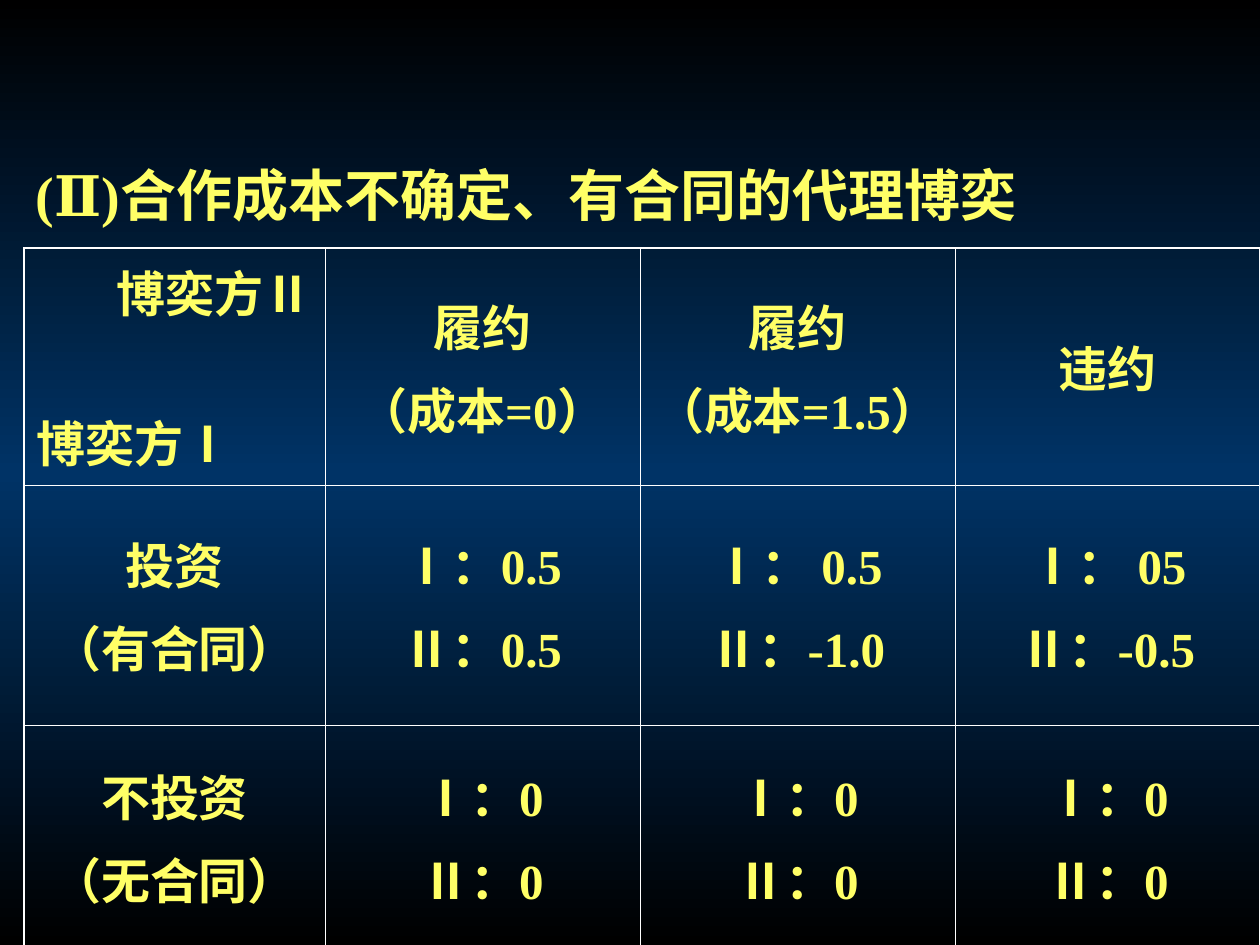
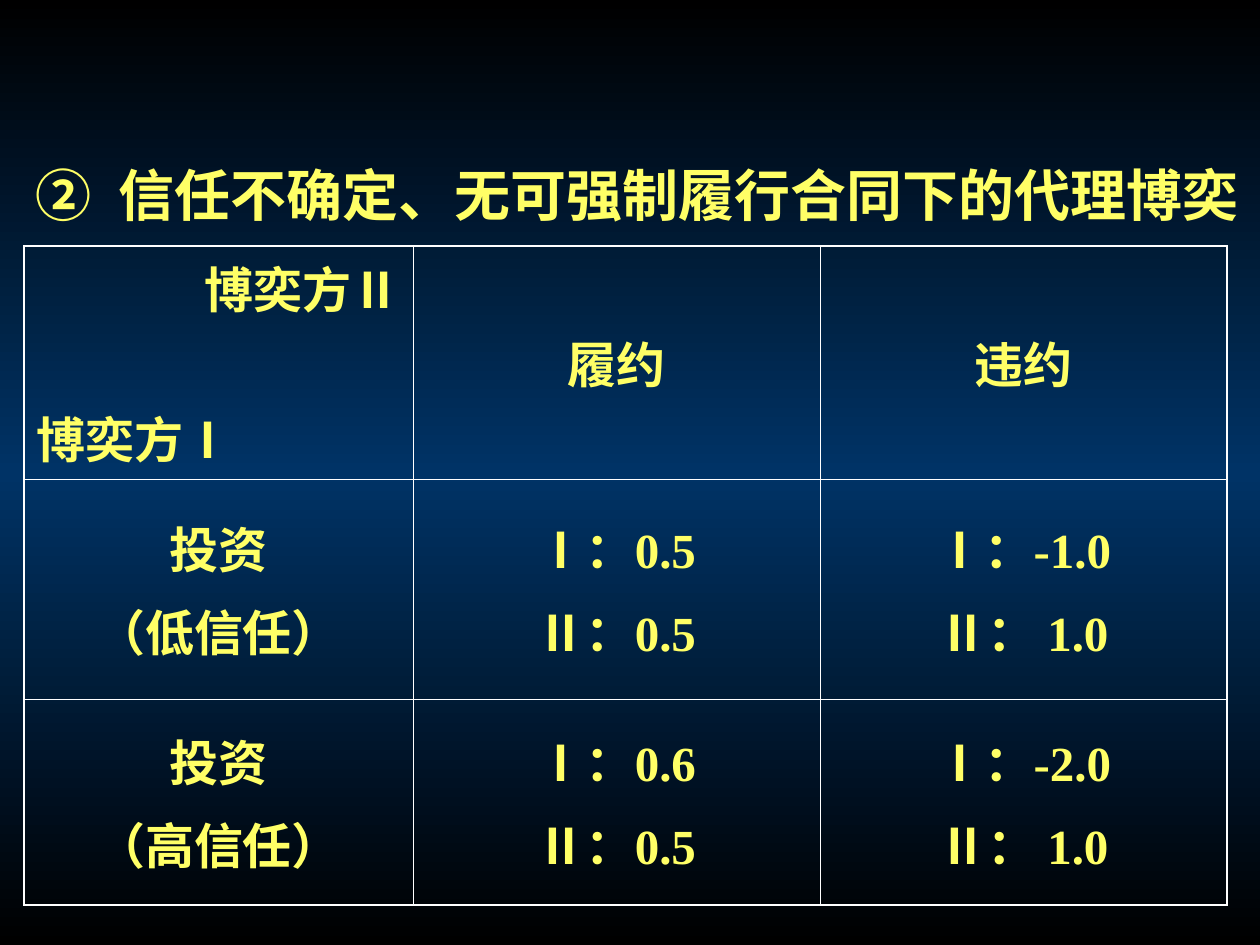
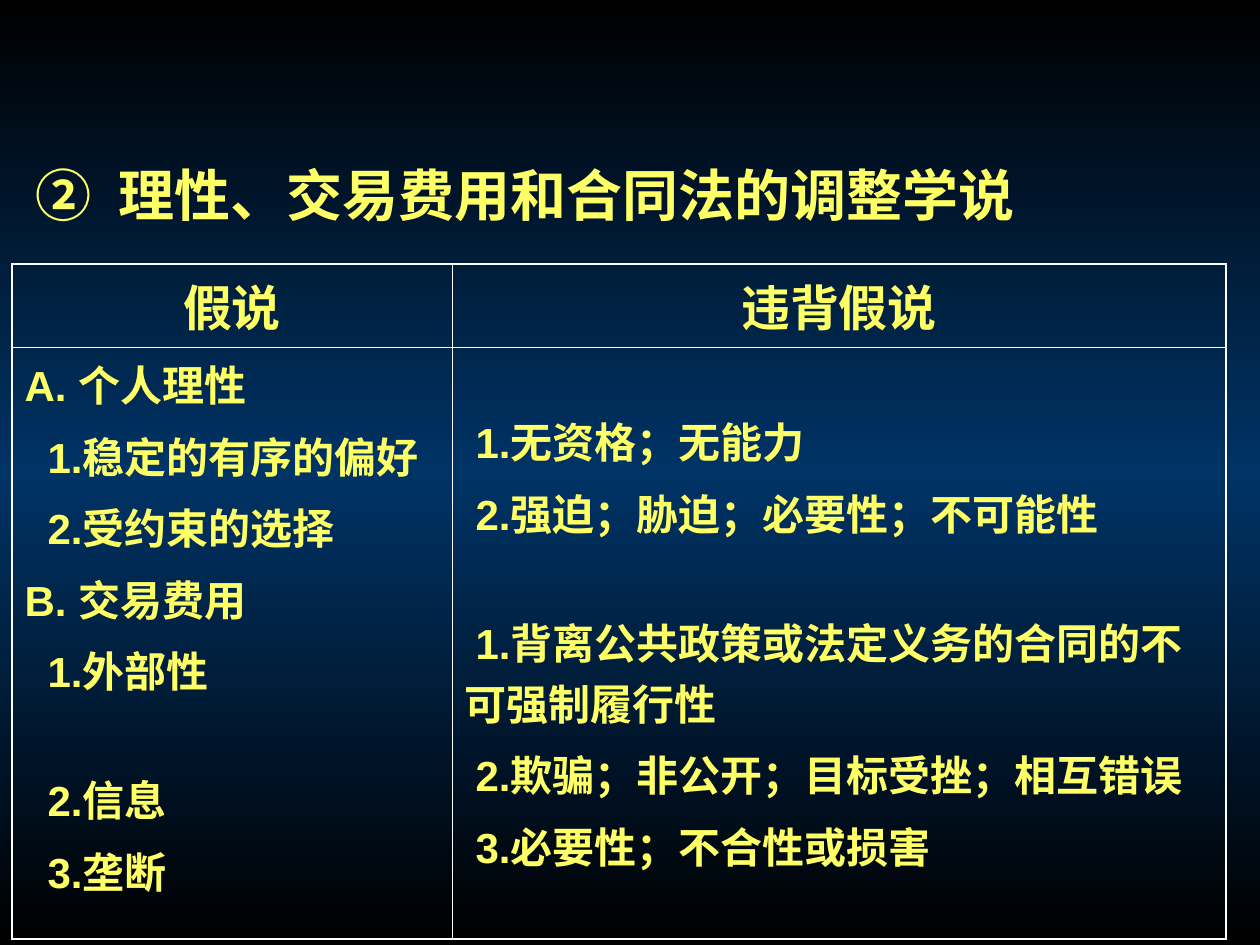
from dataclasses import dataclass

from lxml import etree
from pptx import Presentation
from pptx.dml.color import RGBColor
from pptx.enum.lang import MSO_LANGUAGE_ID
from pptx.enum.text import MSO_ANCHOR, MSO_AUTO_SIZE, PP_ALIGN
from pptx.oxml.ns import qn
from pptx.util import Pt

LEFT, CENTER, RIGHT = PP_ALIGN.LEFT, PP_ALIGN.CENTER, PP_ALIGN.RIGHT
TOP, MIDDLE = MSO_ANCHOR.TOP, MSO_ANCHOR.MIDDLE
NO_FIT = MSO_AUTO_SIZE.NONE
CHINESE = MSO_LANGUAGE_ID.SIMPLIFIED_CHINESE

PX_PER_INCH = 126
TITLE_ONLY_LAYOUT = 5


@dataclass(frozen=True)
class Theme:
    text: str = "FFFF66"
    border: str = "FFFFFF"
    shadow: str = "000000"
    gradient: tuple[tuple[int, str], ...] = ((0, "000000"), (50, "003366"), (100, "000000"))
    heading_size: int = 32
    cell_size: int = 28
    list_size: int = 24
    cell_gap: int = 7
    list_gap: int = 6
    outer_line: float = 1.08
    inner_line: float = 0.45
    serif: str = "Times New Roman"
    sans: str = "Arial"


THEME = Theme()


@dataclass(frozen=True)
class Line:
    text: str
    align: PP_ALIGN = CENTER
    size: int = THEME.cell_size
    gap: int = THEME.cell_gap
    indent: int = 0


@dataclass(frozen=True)
class CellText:
    lines: tuple[Line, ...]
    anchor: MSO_ANCHOR = MIDDLE
    top_inset: int = 6


@dataclass(frozen=True)
class TableSlide:
    heading: str
    font: str
    left: int
    top: int
    columns: tuple[int, ...]
    rows: tuple[int, ...]
    cells: tuple[tuple[CellText, ...], ...]


def px(length: int) -> int:
    return round(length * 914400 / PX_PER_INCH)


def centered(*texts: str) -> CellText:
    return CellText(tuple(Line(text) for text in texts))


def payoffs(first: str, second: str) -> CellText:
    return centered(f"Ⅰ：{first}", f"Ⅱ：{second}")


def item(text: str, indent: int = 0, gap: int = THEME.list_gap) -> Line:
    return Line(text, LEFT, THEME.list_size, gap, indent)


# Slide content
WIDE_GAP = 39  # points before a list item that starts a new group
PLAYERS = CellText((Line("博奕方Ⅱ", RIGHT), Line("博奕方Ⅰ", LEFT, gap=45)))

HYPOTHESES = CellText((
    item("A. 个人理性"),
    item("1.稳定的有序的偏好", 23),
    item("2.受约束的选择", 23),
    item("B. 交易费用"),
    item("1.外部性", 23),
    item("2.信息", 23, WIDE_GAP),
    item("3.垄断", 23),
), TOP)

VIOLATIONS = CellText((
    item("1.无资格；无能力", 11),
    item("2.强迫；胁迫；必要性；不可能性", 11),
    item("1.背离公共政策或法定义务的合同的不可强制履行性", 11, WIDE_GAP),
    item("2.欺骗；非公开；目标受挫；相互错误", 11),
    item("3.必要性；不合性或损害", 11),
), TOP, top_inset=63)

SLIDES = (
    TableSlide(
        "(Ⅱ)合作成本不确定、有合同的代理博奕", THEME.serif, 24, 248,
        (301, 315, 315, 305), (237, 240, 224),
        (
            (PLAYERS, centered("履约", "（成本=0）"),
             centered("履约", "（成本=1.5）"), centered("违约")),
            (centered("投资", "（有合同）"), payoffs("0.5", "0.5"),
             payoffs(" 0.5", "-1.0"), payoffs(" 05", "-0.5")),
            (centered("不投资", "（无合同）"), *[payoffs("0", "0")] * 3),
        ),
    ),
    TableSlide(
        "②\t信任不确定、无可强制履行合同下的代理博奕", THEME.serif, 24, 246,
        (389, 407, 407), (233, 220, 206),
        (
            (PLAYERS, centered("履约"), centered("违约")),
            (centered("投资", "（低信任）"), payoffs("0.5", "0.5"), payoffs("-1.0", " 1.0")),
            (centered("投资", "（高信任）"), payoffs("0.6", "0.5"), payoffs("-2.0", " 1.0")),
        ),
    ),
    TableSlide(
        "②\t理性、交易费用和合同法的调整学说", THEME.sans, 12, 264,
        (440, 774), (83, 592),
        (
            (centered("假说"), centered("违背假说")),
            (HYPOTHESES, VIOLATIONS),
        ),
    ),
)


def add_color(parent, color: str):
    return etree.SubElement(parent, qn("a:srgbClr"), val=color)


def set_format(target, values: dict) -> None:
    for name, value in values.items():
        setattr(target, name, value)


def add_text(paragraph, text: str, font_name: str, size: int):
    run = paragraph.add_run()
    run.text = text
    set_format(run.font, {
        "name": font_name, "size": Pt(size), "bold": True, "language_id": CHINESE,
    })
    run.font.color.rgb = RGBColor.from_string(THEME.text)
    return run


def set_background(master) -> None:
    fill = master.background.fill
    fill.gradient()
    fill.gradient_angle = 270
    stops = master.element.find(f".//{qn('a:gsLst')}")
    for stop in list(stops):
        stops.remove(stop)
    for position, color in THEME.gradient:
        add_color(etree.SubElement(stops, qn("a:gs"), pos=str(position * 1000)), color)


def add_heading(slide, content: TableSlide) -> None:
    title = slide.shapes.title
    set_format(title, {"left": px(23), "top": px(154), "width": px(1237), "height": px(90)})
    frame = title.text_frame
    set_format(frame, {"vertical_anchor": TOP, "word_wrap": True, "auto_size": NO_FIT})
    paragraph = frame.paragraphs[0]
    paragraph.alignment = LEFT
    # Tab stop after the circled number
    tabs = etree.SubElement(paragraph._p.get_or_add_pPr(), qn("a:tabLst"))
    etree.SubElement(tabs, qn("a:tab"), pos=str(px(83)), algn="l")
    run = add_text(paragraph, content.heading, content.font, THEME.heading_size)
    # Text shadow
    effects = etree.Element(qn("a:effectLst"))
    shadow = etree.SubElement(effects, qn("a:outerShdw"),
                              dist=str(px(3)), dir="2700000", algn="tl")
    add_color(shadow, THEME.shadow)
    run.font._element.find(qn("a:solidFill")).addnext(effects)


def set_borders(cell, outer: dict[str, bool]) -> None:
    properties = cell._tc.get_or_add_tcPr()
    for side, is_outer in outer.items():
        width = THEME.outer_line if is_outer else THEME.inner_line
        line = etree.SubElement(properties, qn(f"a:ln{side}"), w=str(Pt(width)))
        add_color(etree.SubElement(line, qn("a:solidFill")), THEME.border)


def fill_cell(cell, content: CellText, font_name: str) -> None:
    set_format(cell, {"vertical_anchor": content.anchor, "margin_top": px(content.top_inset)})
    frame = cell.text_frame
    for index, line in enumerate(content.lines):
        paragraph = frame.add_paragraph() if index else frame.paragraphs[0]
        paragraph.alignment = line.align
        if index:
            paragraph.space_before = Pt(line.gap)
        if line.indent:
            paragraph._p.get_or_add_pPr().set("indent", str(px(line.indent)))
        add_text(paragraph, line.text, font_name, line.size)


def add_grid(slide, content: TableSlide) -> None:
    row_count, column_count = len(content.rows), len(content.columns)
    table = slide.shapes.add_table(
        row_count, column_count, px(content.left), px(content.top),
        px(sum(content.columns)), px(sum(content.rows))).table
    set_format(table, {"first_row": False, "horz_banding": False})
    for column, width in zip(table.columns, content.columns):
        column.width = px(width)
    for row, height in zip(table.rows, content.rows):
        row.height = px(height)
    for row_index, row_cells in enumerate(content.cells):
        for column_index, cell_text in enumerate(row_cells):
            cell = table.cell(row_index, column_index)
            set_borders(cell, {
                "L": column_index == 0,
                "R": column_index == column_count - 1,
                "T": row_index == 0,
                "B": row_index == row_count - 1,
            })
            cell.fill.background()
            fill_cell(cell, cell_text, content.font)


def main() -> None:
    presentation = Presentation()
    set_format(presentation, {"slide_width": px(1260), "slide_height": px(945)})
    set_background(presentation.slide_master)
    for content in SLIDES:
        slide = presentation.slides.add_slide(presentation.slide_layouts[TITLE_ONLY_LAYOUT])
        add_heading(slide, content)
        add_grid(slide, content)
    presentation.save("out.pptx")


if __name__ == "__main__":
    main()
